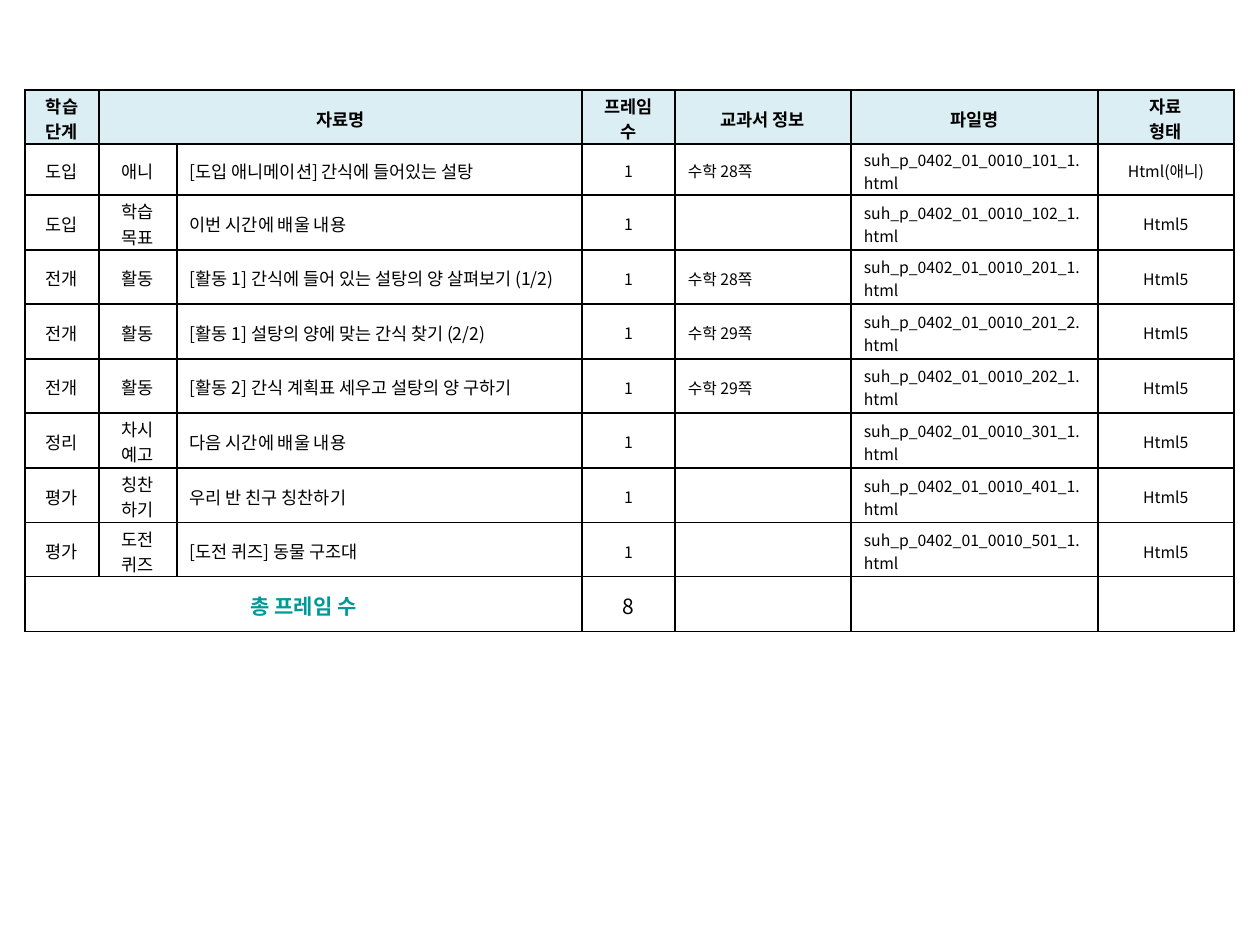
from dataclasses import dataclass

from lxml import etree
from pptx import Presentation
from pptx.dml.color import RGBColor
from pptx.enum.text import MSO_ANCHOR, PP_ALIGN
from pptx.oxml.ns import qn
from pptx.util import Pt

CENTER, LEFT, JUSTIFY = PP_ALIGN.CENTER, PP_ALIGN.LEFT, PP_ALIGN.JUSTIFY
MIDDLE = MSO_ANCHOR.MIDDLE
EMU_PER_PX = 914400 / 126


@dataclass(frozen=True)
class Theme:
    """Colours, font and type sizes of the slide."""
    font: str = "Noto Sans CJK KR"
    ink: str = "000000"
    accent: str = "009999"
    header_fill: str = "DBEEF4"
    small: int = 9
    body: int = 10
    total: int = 12
    border: int = 1


THEME = Theme()
COLUMN_WIDTHS = [74, 78, 405, 93, 176, 247, 136]
ROW_HEIGHTS = [54, 51, 55, 54, 55, 54, 55, 55, 54, 55]
COLUMN_STYLES = [
    (CENTER, THEME.body), (CENTER, THEME.body), (LEFT, THEME.body),
    (CENTER, THEME.small), (JUSTIFY, THEME.small), (JUSTIFY, THEME.small),
    (CENTER, THEME.small),
]
HEADER = ["학습 단계", "자료명", "", "프레임 수", "교과서 정보", "파일명", "자료\n형태"]
LESSONS = [
    ("도입", "애니", "[도입 애니메이션] 간식에 들어있는 설탕", "수학 28쪽", "101_1", "Html(애니)"),
    ("도입", "학습 목표", "이번 시간에 배울 내용", "", "102_1", "Html5"),
    ("전개", "활동", "[활동 1] 간식에 들어 있는 설탕의 양 살펴보기 (1/2)", "수학 28쪽", "201_1", "Html5"),
    ("전개", "활동", "[활동 1] 설탕의 양에 맞는 간식 찾기 (2/2)", "수학 29쪽", "201_2", "Html5"),
    ("전개", "활동", "[활동 2] 간식 계획표 세우고 설탕의 양 구하기", "수학 29쪽", "202_1", "Html5"),
    ("정리", "차시 예고", "다음 시간에 배울 내용", "", "301_1", "Html5"),
    ("평가", "칭찬\n하기", "우리 반 친구 칭찬하기", "", "401_1", "Html5"),
    ("평가", "도전\n퀴즈", "[도전 퀴즈] 동물 구조대", "", "501_1", "Html5"),
]
TOTAL = ["총 프레임 수", "", "", str(len(LESSONS)), "", "", ""]


def px(length):
    """Turn a length in px into EMU."""
    return round(length * EMU_PER_PX)


def add_borders(cell):
    """Draw a solid line on all four sides of a cell."""
    properties = cell._tc.get_or_add_tcPr()
    for side in ("lnL", "lnR", "lnT", "lnB"):
        line = etree.SubElement(properties, qn(f"a:{side}"), w=str(Pt(THEME.border)))
        fill = etree.SubElement(line, qn("a:solidFill"))
        etree.SubElement(fill, qn("a:srgbClr"), val=THEME.ink)


def format_span(span, size, color, bold):
    """Set the font of one run for Latin and Korean letters."""
    font = span.font
    font.size = Pt(size)
    font.bold = bold
    font.color.rgb = RGBColor.from_string(color)
    font.name = THEME.font
    etree.SubElement(span._r.get_or_add_rPr(), qn("a:ea"), typeface=THEME.font)


def fill_cell(cell, text, align, size, color=THEME.ink, bold=False, fill=None):
    """Put formatted text, borders and a background into a cell."""
    add_borders(cell)
    if fill:
        cell.fill.solid()
        cell.fill.fore_color.rgb = RGBColor.from_string(fill)
    else:
        cell.fill.background()
    cell.vertical_anchor = MIDDLE
    cell.margin_left = cell.margin_right = px(13)
    cell.margin_top, cell.margin_bottom = px(3), 0
    cell.text_frame.text = text
    for para in cell.text_frame.paragraphs:
        para.alignment = align
        for span in para.runs:
            format_span(span, size, color, bold)
        if not para.runs:
            etree.SubElement(para._p, qn("a:endParaRPr"), sz=str(size * 100))


def add_grid(page):
    """Add the empty table with its column widths and row heights."""
    frame = page.shapes.add_table(
        len(ROW_HEIGHTS), len(COLUMN_WIDTHS), px(25), px(90),
        px(sum(COLUMN_WIDTHS)), px(sum(ROW_HEIGHTS)))
    table = frame.table
    table.first_row = table.horz_banding = False
    for column, width in zip(table.columns, COLUMN_WIDTHS):
        column.width = px(width)
    for row, height in zip(table.rows, ROW_HEIGHTS):
        row.height = px(height)
    return table


def fill_header(table):
    """Fill the heading row and join the title columns."""
    for cell, text in zip(table.rows[0].cells, HEADER):
        fill_cell(cell, text, CENTER, THEME.body, bold=True, fill=THEME.header_fill)
    table.cell(0, 1).merge(table.cell(0, 2))


def fill_lessons(table):
    """Fill one row for each lesson item."""
    for index, (stage, kind, title, source, code, media) in enumerate(LESSONS, 1):
        file_name = f"suh_p_0402_01_0010_{code}.html"
        texts = [stage, kind, title, "1", source, file_name, media]
        for cell, text, (align, size) in zip(table.rows[index].cells, texts, COLUMN_STYLES):
            fill_cell(cell, text, align, size)


def fill_total(table):
    """Fill the closing row with the frame count."""
    last = len(ROW_HEIGHTS) - 1
    for index, text in enumerate(TOTAL):
        is_label = index == 0
        color = THEME.accent if is_label else THEME.ink
        fill_cell(table.cell(last, index), text, CENTER, THEME.total, color, is_label)
    table.cell(last, 0).merge(table.cell(last, 2))


def main():
    """Build and save the deck."""
    deck = Presentation()
    deck.slide_width, deck.slide_height = px(1260), px(945)
    page = deck.slides.add_slide(deck.slide_layouts[6])
    table = add_grid(page)
    fill_header(table)
    fill_lessons(table)
    fill_total(table)
    deck.save("out.pptx")


if __name__ == "__main__":
    main()
